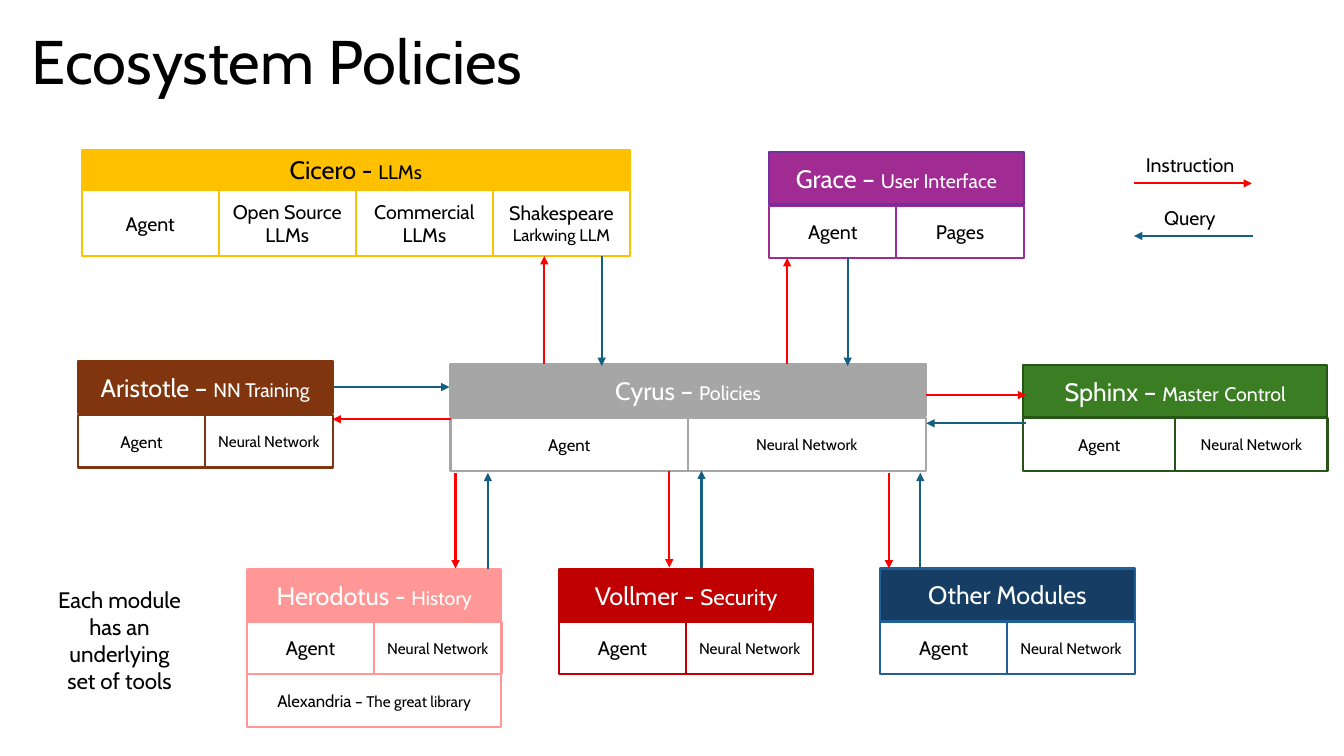
from lxml.etree import SubElement
from pptx import Presentation
from pptx.dml.color import RGBColor
from pptx.enum.shapes import MSO_CONNECTOR, MSO_SHAPE
from pptx.enum.text import MSO_ANCHOR, PP_ALIGN
from pptx.oxml.ns import qn
from pptx.util import Pt

BLACK, WHITE = "000000", "FFFFFF"
INSTRUCTION, QUERY = "FF0000", "156082"


def paint(target, colour):
    if hasattr(target, "solid"):
        target.solid()
        target = target.fore_color
    target.rgb = RGBColor.from_string(colour)


def write(frame, runs, colour=BLACK, align=PP_ALIGN.CENTER, **frame_format):
    for name, value in {"word_wrap": True, **frame_format}.items():
        setattr(frame, name, value)
    paragraph = frame.paragraphs[0]
    paragraph.alignment = align
    for words, size in runs:
        run = paragraph.add_run()
        run.text = words
        for name, value in {"name": "Cabin", "size": Pt(size)}.items():
            setattr(run.font, name, value)
        paint(run.font.color, colour)
    return paragraph


deck = Presentation()
deck.slide_width, deck.slide_height = Pt(960), Pt(540)
slide = deck.slides.add_slide(deck.slide_layouts[6])
shapes = slide.shapes

# Title
title = shapes.add_textbox(Pt(15.8), Pt(-5.8), Pt(828), Pt(104.4))
write(title.text_frame, [("Ecosystem Policies", 44)], align=PP_ALIGN.LEFT,
      vertical_anchor=MSO_ANCHOR.MIDDLE).line_spacing = 0.9

# Modules: left, top, width, header height, first row top, row height,
# header fill, border, header text colour, header runs, rows of cells
neural = [("Neural Network", 11)]
agent_small, agent = [("Agent", 12)], [("Agent", 14)]
modules = [
    (549.4, 108.7, 181.8, 37.4, 146.9, 37.4, "A02B93", "7030A0", "A02B93", WHITE,
     [("Grace – ", 18), ("User Interface", 14)], [[agent, [("Pages", 14)]]]),
    (730.8, 260.6, 217.4, 37.4, 298.8, 37.4, "3B7D23", "275417", "275417", WHITE,
     [("Sphinx – ", 18), ("Master", 14), (" ", 18), ("Control", 14)],
     [[agent_small, neural]]),
    (55.6, 257.8, 182, 37.4, 296.6, 37.4, "80350E", "80350E", "80350E", WHITE,
     [("Aristotle – ", 18), ("NN Training", 14)], [[agent_small, neural]]),
    (321.8, 260, 339.4, 37.4, 298.8, 37.4, "A6A6A6", "A6A6A6", "A6A6A6", WHITE,
     [("Cyrus – ", 18), ("Policies", 14)], [[agent_small, neural]]),
    (628.6, 406.1, 182, 37.4, 444.2, 37.4, "163E64", "215F9A", "215F9A", WHITE,
     [("Other Modules", 18)], [[agent, neural]]),
    (176.4, 406.8, 181.8, 37.4, 444.2, 37.4, "FF9797", "FF9797", "FF9797", WHITE,
     [("Herodotus - ", 18), ("History", 14)],
     [[agent, neural], [[("Alexandria", 12), (" – The great library", 11)]]]),
    (58.3, 107.3, 391.7, 28.1, 136, 46.8, "FFC000", "FFC000", "FFC000", BLACK,
     [("Cicero - ", 18), ("LLMs", 14)],
     [[agent, [("Open Source LLMs", 14)], [("Commercial LLMs", 14)],
       [("Shakespeare", 14), (" Larkwing LLM", 12)]]]),
    (399.2, 406.8, 181.8, 37.4, 444.2, 37.4, "C00000", "C00000", "C00000", WHITE,
     [("Vollmer - ", 18), ("Security", 16)], [[agent, neural]]),
]
headers = {}
for (left, top, width, header_height, row_top, row_height, header_fill,
     header_border, cell_border, header_colour, heading, rows) in modules:
    boxes = []
    for row_number, row in enumerate(rows):
        cell_width = width / len(row)
        for column, words in enumerate(row):
            boxes.append((left + column * cell_width, row_top + row_number * row_height,
                          cell_width, row_height, WHITE, cell_border, BLACK, words))
    boxes.append((left, top, width, header_height, header_fill, header_border,
                  header_colour, heading))
    for x, y, w, h, fill, border, colour, words in boxes:
        box = shapes.add_shape(MSO_SHAPE.RECTANGLE, Pt(x), Pt(y), Pt(w), Pt(h))
        box.shadow.inherit = False
        paint(box.fill, fill)
        paint(box.line.fill, border)
        box.line.width = Pt(1.5)
        write(box.text_frame, words, colour, vertical_anchor=MSO_ANCHOR.MIDDLE)
    headers[heading[0][0].split()[0]] = box

# Arrows between Cyrus and the other modules, then the legend's two
arrows = [
    (INSTRUCTION, 388.8, 260, 388.8, 182.9), (QUERY, 429.8, 182.9, 429.8, 261.4),
    (INSTRUCTION, 562.3, 260, 562.3, 184.3), (QUERY, 605.5, 184.3, 605.5, 261.4),
    (QUERY, 237.6, 276.5, 321.1, 276.5), (INSTRUCTION, 321.8, 299.5, 237.6, 299.5),
    (INSTRUCTION, 661.7, 282.2, 733, 282.2), (QUERY, 733, 302.4, 661.7, 302.4),
    (INSTRUCTION, 478.1, 336.2, 478.1, 405.4), (QUERY, 501.1, 405.4, 501.1, 336.2),
    (INSTRUCTION, 325.4, 337.7, 325.4, 406.1), (QUERY, 348.5, 406.1, 348.5, 337.7),
    (INSTRUCTION, 635, 337.7, 635, 406.1), (QUERY, 657.4, 406.1, 657.4, 337.7),
    (INSTRUCTION, 810, 131, 894.2, 131), (QUERY, 895, 168.5, 810, 168.5),
]
for meaning, *ends in arrows:
    arrow = shapes.add_connector(MSO_CONNECTOR.STRAIGHT, *[Pt(end) for end in ends])
    paint(arrow.line.fill, meaning)
    arrow.line.width = Pt(1.5)
    SubElement(arrow.line._get_or_add_ln(), qn("a:tailEnd"), type="triangle")
    SubElement(arrow._element.spPr, qn("a:effectLst"))
    if ends[0] == 237.6:
        arrow.begin_connect(headers["Aristotle"], 3)

# Legend labels
for label, left, top, width in [("Instruction", 811.4, 105.8, 80.6),
                                ("Query", 824.4, 143.3, 51.8)]:
    legend = shapes.add_textbox(Pt(left), Pt(top), Pt(width), Pt(24.5))
    write(legend.text_frame, [(label, 14)], align=PP_ALIGN.LEFT, word_wrap=False)

# Remark on tools
remark = shapes.add_textbox(Pt(31.7), Pt(415.4), Pt(107.3), Pt(85))
write(remark.text_frame, [("Each module has an underlying set of tools", 16)])

deck.save("out.pptx")
